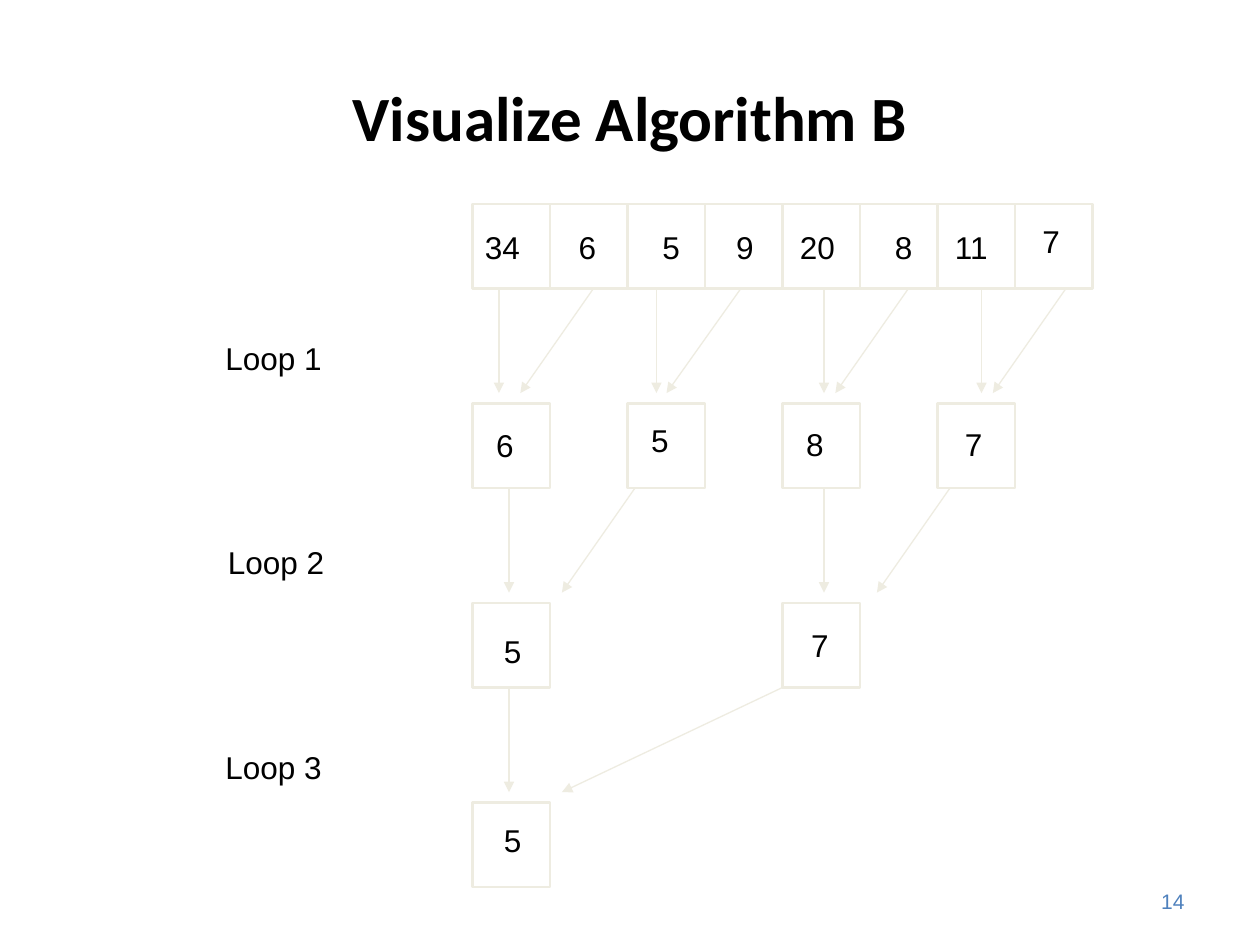
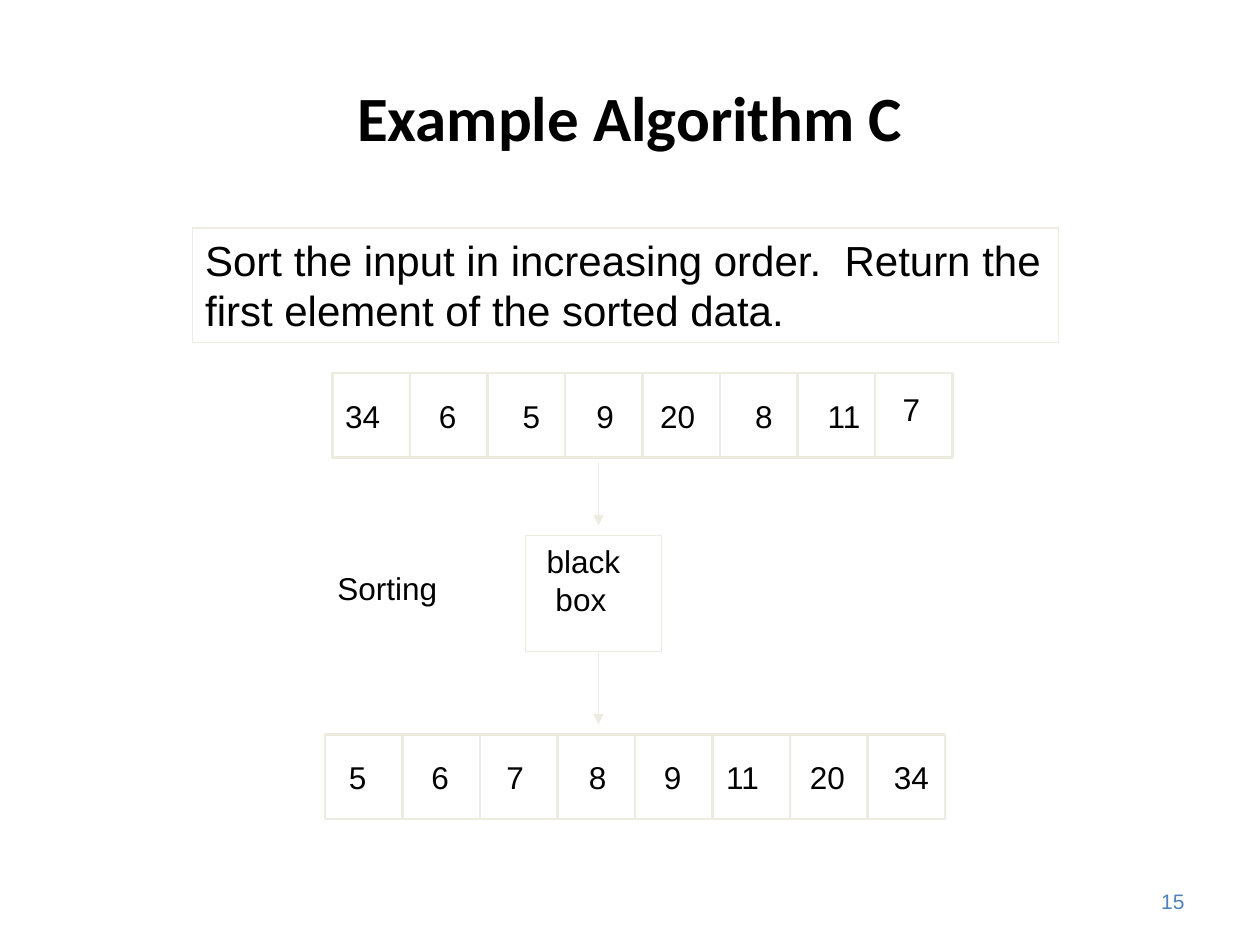
from pptx import Presentation
from pptx import util as u
from pptx.dml import color
from pptx.enum import shapes, text
from pptx.oxml import ns
from lxml import etree

THEME = {
    "ink": "000000", "rule": "EEECE1", "number": "4F81BD",
    "body_font": "Arial", "title_font": "Calibri",
    "title": 36, "statement": 24, "label": 18, "footer": 12,
    "thin": 0.75, "thick": 1.5,
}

# value, offset right of the cell edge, offset below the cell top
INPUT = [("34", 0, 0.14), ("6", 0.13, 0.14), ("5", 0.18, 0.14), ("9", 0.15, 0.14),
         ("20", 0.04, 0.14), ("8", 0.18, 0.14), ("11", 0.04, 0.14), ("7", 0.12, 0.09)]
SORT_INPUT = INPUT[:6] + [("11", 0.14, 0.14)] + INPUT[7:]
SORTED = [("5", 0.09, 0.14), ("6", 0.13, 0.14), ("7", 0.11, 0.14), ("8", 0.15, 0.14),
          ("9", 0.13, 0.14), ("11", 0.01, 0.14), ("20", 0.06, 0.14), ("34", 0.11, 0.14)]
TREE = [
    INPUT,
    [("6", 0.09, 0.13), ("5", 0.09, 0.09), ("8", 0.09, 0.12), ("7", 0.12, 0.12)],
    [("5", 0.15, 0.18), ("7", 0.13, 0.13)],
    [("5", 0.15, 0.10)],
]
LOOPS = [
    {"name": "Loop 1", "at": (1.69, 2.64),
     "arrows": [(3.96, 3.96), (4.71, 4.13), (5.21, 5.21), (5.88, 5.29),
                (6.54, 6.54), (7.21, 6.63), (7.79, 7.79), (8.46, 7.88)]},
    {"name": "Loop 2", "at": (1.71, 4.26),
     "arrows": [(4.04, 4.04), (5.04, 4.46), (6.54, 6.54), (7.54, 6.96)]},
    {"name": "Loop 3", "at": (1.69, 5.89),
     "arrows": [(4.04, 4.04), (6.21, 4.46)]},
]
STATEMENT = ["Sort the input in increasing order.  Return the",
             "first element of the sorted data."]
BLACK_BOX = ["black", "box"]
BOX_INDENTS = [0.07, 0.14]

CELL_W, CELL_H = 4.92 / 8, 0.67
TREE_LEFT, TREE_TOP, TREE_LAST = 3.75, 1.62, 6.37
ROW_STEP = (TREE_LAST - TREE_TOP) / (len(TREE) - 1)
ARROW_DROP = 0.83
LABEL_H = 0.43


def rgb(name):
    return color.RGBColor.from_string(THEME[name])


def write(sp, lines, size="label", font="body_font", ink="ink", bold=False,
          align="LEFT", wrap=False, anchor="TOP", fit=True, indents=None):
    tf = sp.text_frame
    frame = {"word_wrap": wrap, "vertical_anchor": text.MSO_ANCHOR[anchor],
             "auto_size": text.MSO_AUTO_SIZE.SHAPE_TO_FIT_TEXT if fit
             else text.MSO_AUTO_SIZE.NONE}
    for key, value in frame.items():
        setattr(tf, key, value)
    for i, line in enumerate(lines):
        p = tf.paragraphs[0] if i == 0 else tf.add_paragraph()
        p.alignment = text.PP_ALIGN[align]
        if indents:
            p._p.get_or_add_pPr().set("marL", str(u.Inches(indents[i])))
        r = p.add_run()
        r.text = line
        for key, value in {"name": THEME[font], "size": u.Pt(THEME[size]),
                           "bold": bold}.items():
            setattr(r.font, key, value)
        r.font.color.rgb = rgb(ink)


def add_text(s, at, lines, **style):
    sp = s.shapes.add_textbox(*map(u.Inches, at))
    write(sp, lines, **style)


def add_box(s, at, weight="thick"):
    sp = s.shapes.add_shape(shapes.MSO_SHAPE.RECTANGLE, *map(u.Inches, at))
    sp.shadow.inherit = False
    sp.fill.background()
    sp.line.color.rgb = rgb("rule")
    sp.line.width = u.Pt(THEME[weight])
    return sp


def add_arrow(s, x1, y1, x2, y2):
    c = s.shapes.add_connector(shapes.MSO_CONNECTOR.STRAIGHT,
                               *map(u.Inches, (x1, y1, x2, y2)))
    c.line.color.rgb = rgb("rule")
    c.line.width = u.Pt(THEME["thin"])
    etree.SubElement(c.line._get_or_add_ln(), ns.qn("a:tailEnd"), type="triangle")
    etree.SubElement(c._element.spPr, ns.qn("a:effectLst"))


def add_row(s, left, top, values, stride=1):
    for i, (value, dx, dy) in enumerate(values):
        x = left + i * stride * CELL_W
        add_box(s, (x, top, CELL_W, CELL_H))
        width = 0.36 if len(value) == 1 else 0.51
        add_text(s, (x + dx, top + dy, width, LABEL_H), [value])


def new_slide(prs, title, number):
    s = prs.slides.add_slide(prs.slide_layouts[6])
    add_text(s, (0.5, 0.3, 9, 1.25), [title], size="title", font="title_font",
             bold=True, align="CENTER", wrap=True, anchor="MIDDLE", fit=False)
    add_text(s, (7.17, 6.95, 2.33, 0.4), [str(number)], size="footer", ink="number",
             align="RIGHT", wrap=True, anchor="MIDDLE", fit=False)
    return s


def build_tree(prs):
    s = new_slide(prs, "Visualize Algorithm B", 14)
    for level, values in enumerate(TREE):
        add_row(s, TREE_LEFT, TREE_TOP + level * ROW_STEP, values, 2 ** level)
    for level, loop in enumerate(LOOPS):
        add_text(s, (*loop["at"], 1.05, LABEL_H), [loop["name"]])
        y = TREE_TOP + level * ROW_STEP + CELL_H
        for start, end in loop["arrows"]:
            add_arrow(s, start, y, end, y + ARROW_DROP)


def build_sorting(prs):
    s = new_slide(prs, "Example Algorithm C", 15)
    write(add_box(s, (1.53, 1.81, 6.87, 0.91), "thin"), STATEMENT, size="statement")
    add_row(s, 2.64, 2.96, SORT_INPUT)
    add_row(s, 2.58, 5.83, SORTED)
    write(add_box(s, (4.17, 4.25, 1.08, 0.92), "thin"), BLACK_BOX,
          wrap=True, fit=False, indents=BOX_INDENTS)
    add_text(s, (2.58, 4.47, 1.08, LABEL_H), ["Sorting"])
    for top, bottom in [(3.67, 4.17), (5.17, 5.75)]:
        add_arrow(s, 4.75, top, 4.75, bottom)


def main():
    prs = Presentation()
    prs.slide_width, prs.slide_height = u.Inches(10), u.Inches(7.5)
    build_tree(prs)
    build_sorting(prs)
    prs.save("out.pptx")


if __name__ == "__main__":
    main()
